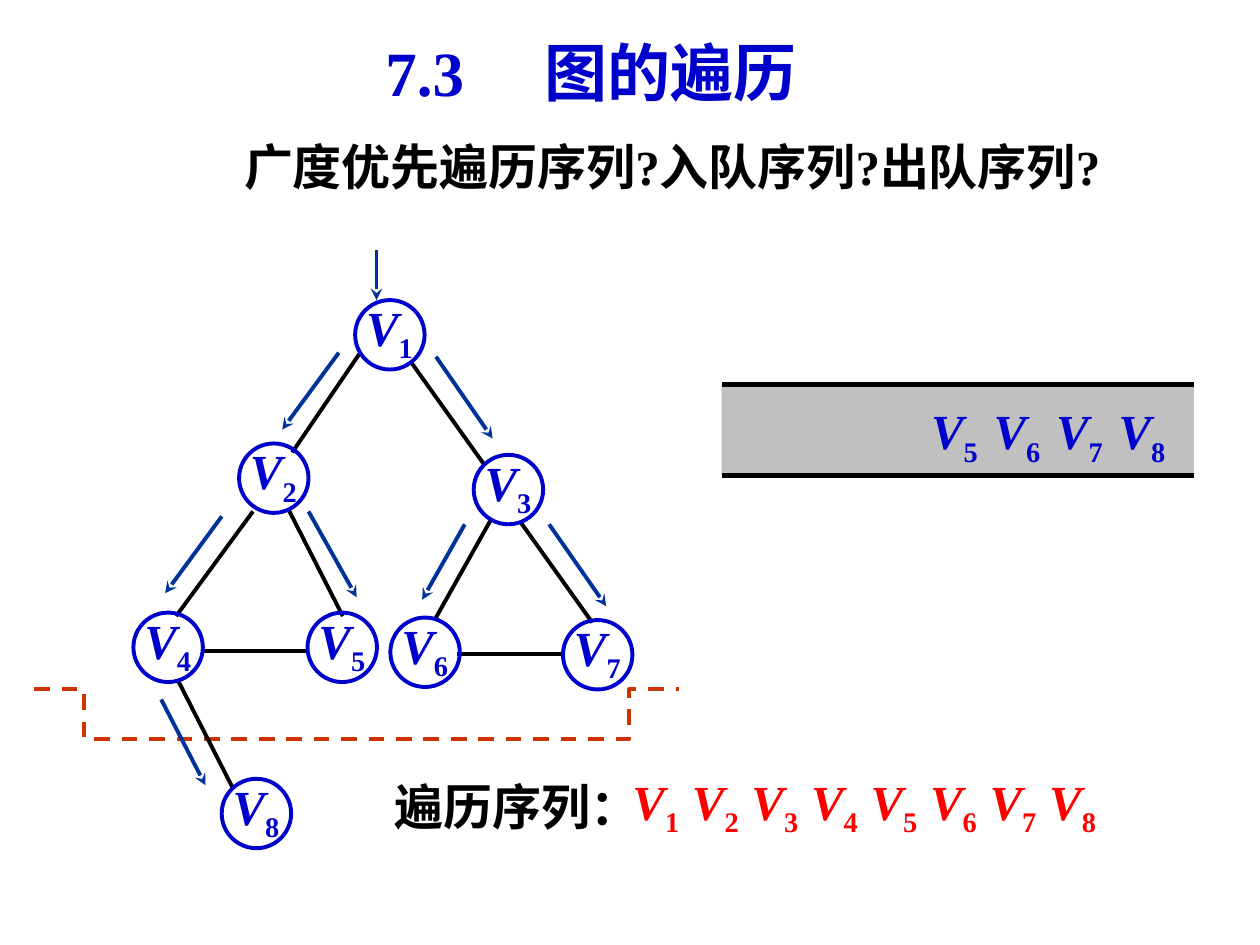
from pptx import Presentation
from pptx.util import Cm, Pt
from pptx.dml.color import RGBColor
from pptx.enum.dml import MSO_LINE
from pptx.enum.shapes import MSO_CONNECTOR, MSO_SHAPE
from pptx.enum.text import MSO_ANCHOR, PP_ALIGN
from pptx.oxml.ns import qn
from lxml.etree import SubElement

COLORS = {"ink": "000000", "blue": "0000CC", "arrow": "003399",
          "red": "FF0000", "queue": "C0C0C0", "level": "CC3300"}
SERIF, SANS = "Times New Roman", "Arial"
DIAMETER = 1.4
NODES = {1: (4.47, 1.02), 2: (2.13, 3.91), 3: (6.86, 4.14), 4: (0, 7.32),
         5: (3.51, 7.32), 6: (5.18, 7.42), 7: (8.66, 7.47), 8: (1.78, 10.67)}
EDGES = [(4.55, 2.11, 3.2, 4.09), (5.61, 2.29, 7.06, 4.32),
         (2.41, 5.28, 0.86, 7.39), (3.12, 5.23, 4.22, 7.39),
         (7.21, 5.44, 6.07, 7.47), (7.8, 5.49, 9.25, 7.52),
         (3.53, 8.1, 1.42, 8.1), (8.66, 8.15, 6.53, 8.15),
         (0.91, 8.71, 2.01, 10.87)]
VISITS = [(4.9, 0, 4.9, 1.02), (4.14, 2.08, 3, 3.63), (6.1, 2.16, 7.24, 3.81),
          (1.78, 5.38, 0.64, 6.93), (3.53, 5.28, 4.5, 7.01),
          (6.68, 5.54, 5.82, 7.06), (8.38, 5.54, 9.53, 7.19),
          (0.56, 9.07, 1.45, 10.8)]
LEVEL_START = (0, 0.13)
LEVEL_CURVES = [((0.43, 0.3), (0.86, 0.48), (1.52, 0.64)),
                ((2.16, 0.76), (2.97, 0.86), (3.86, 0.94)),
                ((4.72, 1.02), (5.84, 1.04), (6.81, 1.04)),
                ((7.75, 1.04), (8.84, 0.99), (9.55, 0.94)),
                ((10.26, 0.89), (10.59, 0.84), (11.07, 0.71)),
                ((11.56, 0.61), (12.19, 0.43), (12.5, 0.3)),
                ((12.8, 0.18), (12.83, 0.05), (12.9, 0))]


def rgb(color):
    return RGBColor.from_string(COLORS[color])


def add_run(p, text, color, **formats):
    r = p.add_run()
    r.text = text
    for name, value in {"size": Pt(28), "bold": True, "name": SERIF, **formats}.items():
        setattr(r.font, name, value)
    r.font.color.rgb = rgb(color)
    return r


def add_text_box(slide, x, y, w, h, **margins):
    tf = slide.shapes.add_textbox(Cm(x), Cm(y), Cm(w), Cm(h)).text_frame
    tf.word_wrap = True
    for name, value in margins.items():
        setattr(tf, f"margin_{name}", Cm(value))
    return tf.paragraphs[0]


def add_vertex(p, number, color):
    add_run(p, "V", color, italic=True)
    r = add_run(p, str(number), color, italic=False)
    r._r.get_or_add_rPr().set("baseline", "-25000")


def add_vertex_row(slide, x, y, pitch, numbers, color):
    for i, number in enumerate(numbers):
        p = add_text_box(slide, x + i * pitch, y, 1.5, 1.25,
                         left=0.05, right=0.05, top=0.03, bottom=0.03)
        add_vertex(p, number, color)


def add_line(slide, x1, y1, x2, y2, color, width, arrow=False):
    cn = slide.shapes.add_connector(MSO_CONNECTOR.STRAIGHT, Cm(x1), Cm(y1), Cm(x2), Cm(y2))
    cn.line.color.rgb = rgb(color)
    cn.line.width = Pt(width)
    if arrow:
        SubElement(cn.line._get_or_add_ln(), qn("a:tailEnd"), type="stealth")
    SubElement(cn._element.spPr, qn("a:effectLst"))


def add_title(slide, x, y, w, h):
    title = slide.shapes.title
    box = {"left": x, "top": y, "width": w, "height": h}
    for name, value in box.items():
        setattr(title, name, Cm(value))
    tf = title.text_frame
    tf.vertical_anchor = MSO_ANCHOR.MIDDLE
    p = tf.paragraphs[0]
    p.alignment = PP_ALIGN.CENTER
    add_run(p, "7.3", "blue", size=Pt(36))
    gap = add_run(p, " ", "blue", size=Pt(36))
    gap._r.get_or_add_rPr().set("spc", "3700")
    add_run(p, "图的遍历", "blue", size=Pt(36), name=SANS)


def add_question(slide, x, y, w, h):
    p = add_text_box(slide, x, y, w, h)
    add_run(p, "广度优先遍历序列?入队序列?出队序列?", "ink")


def add_queue(slide, x, y, w, h):
    sp = slide.shapes.add_shape(MSO_SHAPE.RECTANGLE, Cm(x), Cm(y), Cm(w), Cm(h))
    sp.shadow.inherit = False
    sp.fill.solid()
    sp.fill.fore_color.rgb = rgb("queue")
    sp.line.fill.background()
    for wall in (y - 0.05, y + h):
        add_line(slide, x, wall, x + w, wall, "ink", 3)
    add_vertex_row(slide, x + 4.17, y + 0.25, 1.26, range(5, 9), "blue")


def add_sequence(slide, x, y, w, h):
    p = add_text_box(slide, x, y, w, h)
    add_run(p, "遍历序列：", "ink", name=SANS)
    add_vertex_row(slide, x + 5, y, 1.2, range(1, 9), "red")


def bezier(points, t):
    weights = ((1 - t) ** 3, 3 * t * (1 - t) ** 2, 3 * t ** 2 * (1 - t), t ** 3)
    return tuple(sum(k * pt[axis] for k, pt in zip(weights, points)) for axis in (0, 1))


def add_level_curve(slide, x, y):
    steps = 8
    start, points = LEVEL_START, []
    for curve in LEVEL_CURVES:
        points += [bezier((start, *curve), i / steps) for i in range(1, steps + 1)]
        start = curve[-1]
    fb = slide.shapes.build_freeform(*LEVEL_START, scale=Cm(1))
    fb.add_line_segments(points, close=False)
    sp = fb.convert_to_shape(Cm(x), Cm(y))
    sp.shadow.inherit = False
    sp.fill.background()
    sp.line.color.rgb = rgb("level")
    sp.line.width = Pt(2.25)
    sp.line.dash_style = MSO_LINE.DASH


def add_node(slide, x, y, number):
    sp = slide.shapes.add_shape(MSO_SHAPE.OVAL, Cm(x), Cm(y), Cm(DIAMETER), Cm(DIAMETER))
    sp.shadow.inherit = False
    sp.fill.background()
    sp.line.color.rgb = rgb("blue")
    sp.line.width = Pt(2.25)
    p = add_text_box(slide, x + 0.19, y - 0.13, 1.3, 1.65,
                     left=0.03, right=0, top=0.08, bottom=0.03)
    add_vertex(p, number, "blue")


def add_graph(slide, x, y):
    for lines, color, arrow in ((VISITS, "arrow", True), (EDGES, "ink", False)):
        for x1, y1, x2, y2 in lines:
            add_line(slide, x + x1, y + y1, x + x2, y + y2, color, 2.25, arrow)
    for number, (dx, dy) in NODES.items():
        add_node(slide, x + dx, y + dy, number)


def main():
    prs = Presentation()
    prs.slide_width, prs.slide_height = Cm(25.4), Cm(19.05)
    slide = prs.slides.add_slide(prs.slide_layouts[5])
    add_title(slide, 6.1, 0.71, 11.63, 1.47)
    add_question(slide, 4.67, 2.62, 19.5, 1.45)
    add_queue(slide, 14.55, 7.8, 9.52, 1.78)
    add_sequence(slide, 7.7, 15.52, 6.05, 1.45)
    add_level_curve(slide, 0.69, 13.89)
    add_graph(slide, 2.69, 5.03)
    prs.save("out.pptx")


if __name__ == "__main__":
    main()
